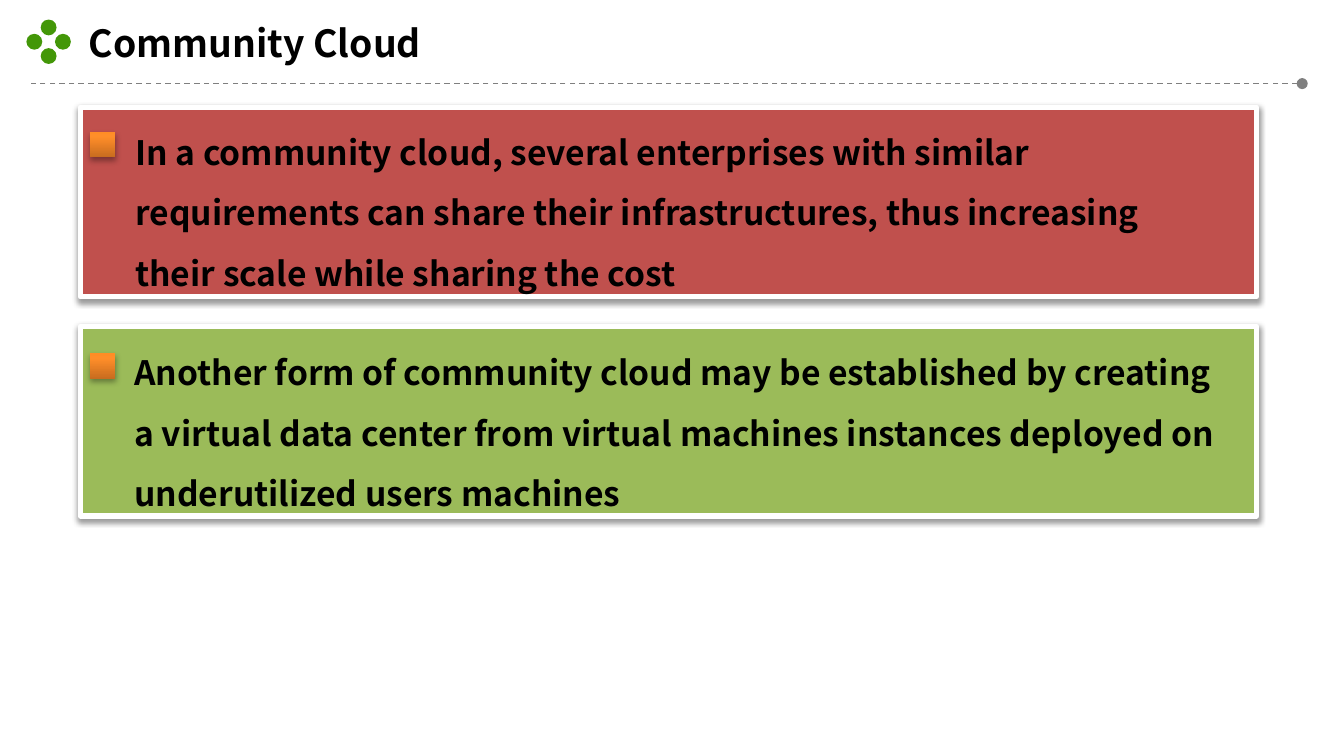
from copy import deepcopy

from lxml import etree
from pptx import Presentation
from pptx.dml.color import RGBColor
from pptx.enum.dml import MSO_LINE
from pptx.enum.shapes import MSO_CONNECTOR, MSO_SHAPE
from pptx.enum.text import MSO_ANCHOR, PP_ALIGN
from pptx.oxml.ns import qn
from pptx.util import Cm, Pt

RECTANGLE, OVAL = MSO_SHAPE.RECTANGLE, MSO_SHAPE.OVAL
STRAIGHT, DASH = MSO_CONNECTOR.STRAIGHT, MSO_LINE.DASH
TOP, MIDDLE, LEFT = MSO_ANCHOR.TOP, MSO_ANCHOR.MIDDLE, PP_ALIGN.LEFT

BLACK = RGBColor(0x00, 0x00, 0x00)
WHITE = RGBColor(0xFF, 0xFF, 0xFF)
GRAY = RGBColor(0x7F, 0x7F, 0x7F)
LEAF = RGBColor(0x43, 0x97, 0x08)
RED = RGBColor(0xC0, 0x50, 0x4D)
GREEN = RGBColor(0x9B, 0xBB, 0x59)
BULLET_STOPS = [
    (0, RGBColor(0xC8, 0x6C, 0x1F)),
    (0.8, RGBColor(0xFF, 0x8E, 0x29)),
    (1, RGBColor(0xFF, 0x8D, 0x25)),
]
FONT = "Noto Sans CJK KR"

# Content: panel top and colour, bullet top, text box (left, top, width), text
TITLE = "Community Cloud"
PANELS = [
    (2.03, RED, 2.49, (2.31, 1.98, 20.32),
     "In a community cloud, several enterprises with similar requirements can "
     "share their infrastructures, thus increasing their scale while sharing "
     "the cost"),
    (6.17, GREEN, 6.68, (2.29, 6.15, 20.93),
     "Another form of community cloud may be established by creating a virtual "
     "data center from virtual machines instances deployed on underutilized "
     "users machines"),
]
PANEL_LEFT, PANEL_WIDTH, PANEL_HEIGHT = 1.52, 22.23, 3.58
BULLET_LEFT, BULLET_SIZE = 1.7, 0.48
DOT_CENTER, DOT_REACH, DOT_SIZE = (0.92, 0.79), 0.27, 0.3


def add_plain_shape(page, kind, left, top, width, height):
    shape = page.shapes.add_shape(kind, Cm(left), Cm(top), Cm(width), Cm(height))
    shape.shadow.inherit = False
    shape.line.fill.background()
    return shape


def fill_solid(shape, color):
    shape.fill.solid()
    shape.fill.fore_color.rgb = color


def add_shadow(shape, opacity, distance):
    effects = shape._element.spPr.find(qn("a:effectLst"))
    shadow = etree.SubElement(
        effects, qn("a:outerShdw"), blurRad=str(Pt(3.1)),
        dist=str(Pt(distance)), dir="5400000", rotWithShape="0")
    color = etree.SubElement(shadow, qn("a:srgbClr"), val=str(BLACK))
    etree.SubElement(color, qn("a:alpha"), val=str(opacity * 1000))


def fill_gradient(shape, stops):
    shape.fill.gradient()
    shape.fill.gradient_angle = 90
    stop_list = shape._element.spPr.find(".//" + qn("a:gsLst"))
    stop_list.append(deepcopy(stop_list[-1]))
    for stop, (position, color) in zip(shape.fill.gradient_stops, stops):
        stop.position = position
        stop.color.rgb = color


def write_text(frame, text, size, anchor, spacing):
    frame.word_wrap = True
    frame.vertical_anchor = anchor
    para = frame.paragraphs[0]
    para.alignment = LEFT
    para.line_spacing = spacing
    span = para.add_run()
    span.text = text
    for name, value in {"name": FONT, "size": Pt(size), "bold": True}.items():
        setattr(span.font, name, value)
    span.font.color.rgb = BLACK


def add_header(page):
    # Four-dot mark
    for across, down in [(0, -1), (1, 0), (-1, 0), (0, 1)]:
        left = DOT_CENTER[0] + across * DOT_REACH - DOT_SIZE / 2
        top = DOT_CENTER[1] + down * DOT_REACH - DOT_SIZE / 2
        dot = add_plain_shape(page, OVAL, left, top, DOT_SIZE, DOT_SIZE)
        fill_solid(dot, LEAF)

    # Dashed rule with a round end
    rule = page.shapes.add_connector(STRAIGHT, Cm(24.61), Cm(1.58), Cm(0.58), Cm(1.58))
    rule.line.color.rgb = GRAY
    rule.line.width = Pt(0.75)
    rule.line.dash_style = DASH
    etree.SubElement(rule.line._get_or_add_ln(), qn("a:headEnd"), type="oval")
    etree.SubElement(rule._element.spPr, qn("a:effectLst"))

    # Title
    title = page.shapes.title
    title.left, title.top = Cm(1.42), Cm(0.25)
    title.width, title.height = Cm(23.34), Cm(1.12)
    write_text(title.text_frame, TITLE, 20, MIDDLE, 1)


def add_panel(page, top, color, bullet_top, text_place, text):
    panel = add_plain_shape(page, RECTANGLE, PANEL_LEFT, top, PANEL_WIDTH, PANEL_HEIGHT)
    fill_solid(panel, color)
    panel.line.color.rgb = WHITE
    panel.line.width = Pt(3)
    add_shadow(panel, 38, 1.6)

    left, text_top, width = text_place
    box = page.shapes.add_textbox(Cm(left), Cm(text_top), Cm(width), Cm(PANEL_HEIGHT))
    write_text(box.text_frame, text, 18, TOP, 1.5)

    bullet = add_plain_shape(
        page, RECTANGLE, BULLET_LEFT, bullet_top, BULLET_SIZE, BULLET_SIZE)
    fill_gradient(bullet, BULLET_STOPS)
    add_shadow(bullet, 35, 1.8)


def main():
    deck = Presentation()
    deck.slide_width, deck.slide_height = Cm(25.4), Cm(14.29)
    page = deck.slides.add_slide(deck.slide_layouts[5])
    add_header(page)
    for panel in PANELS:
        add_panel(page, *panel)
    deck.save("out.pptx")


if __name__ == "__main__":
    main()
